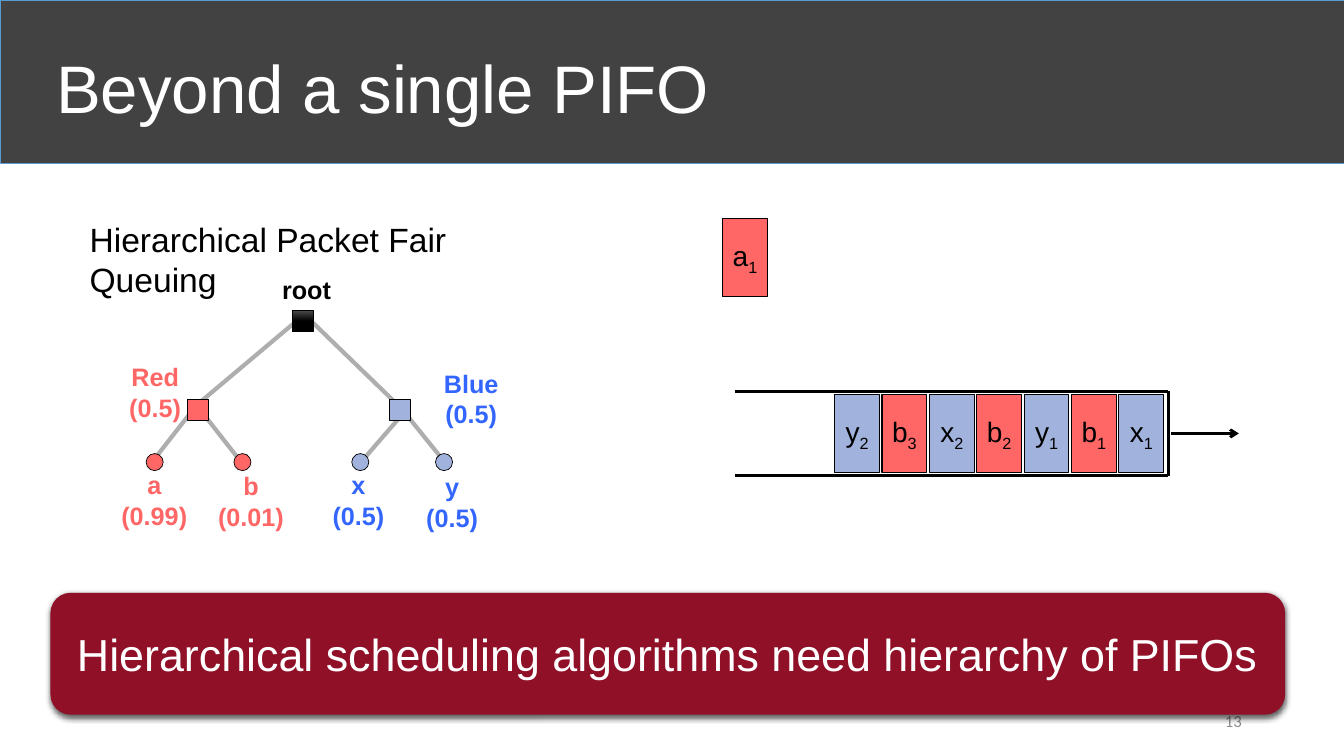
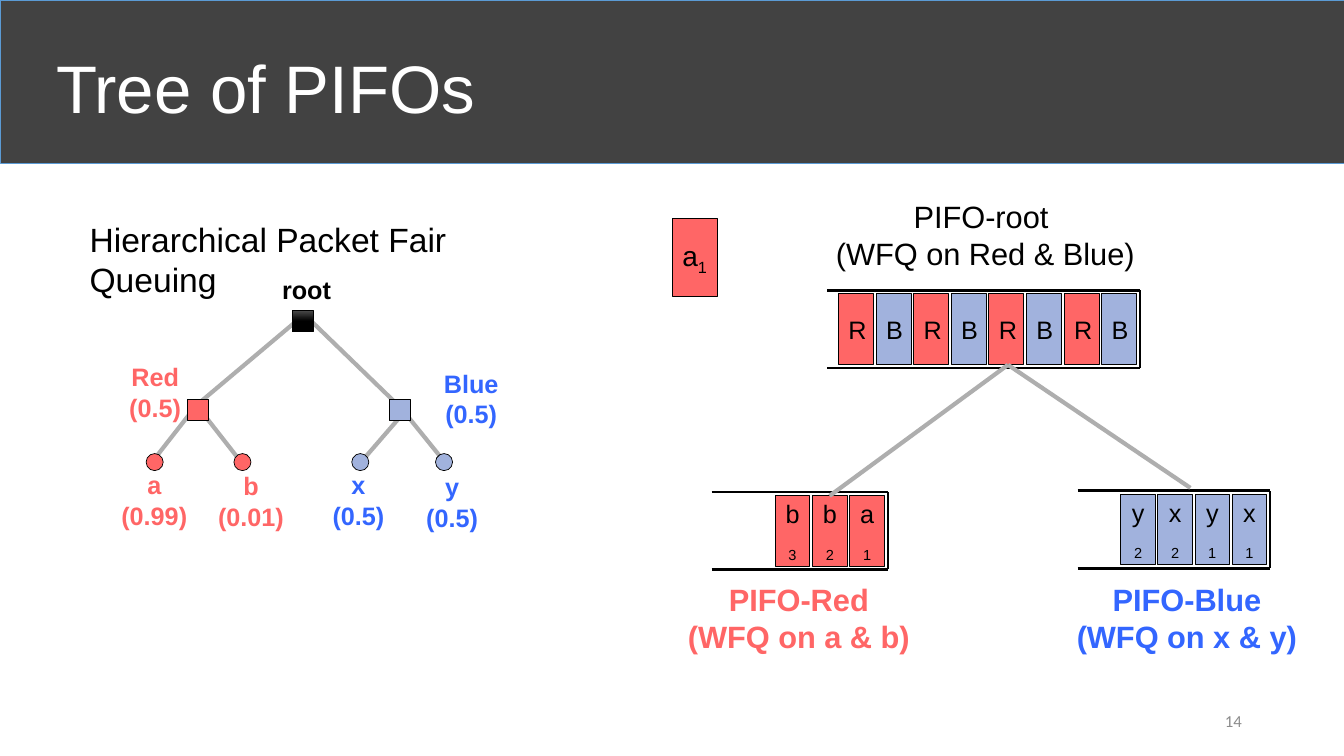
from dataclasses import dataclass

from lxml import etree
from pptx import Presentation
from pptx.dml.color import RGBColor
from pptx.enum.shapes import MSO_CONNECTOR, MSO_SHAPE
from pptx.enum.text import MSO_ANCHOR, PP_ALIGN
from pptx.oxml.ns import qn
from pptx.util import Pt

RECT, OVAL, ROUND = MSO_SHAPE.RECTANGLE, MSO_SHAPE.OVAL, MSO_SHAPE.ROUNDED_RECTANGLE
LINE = MSO_CONNECTOR.STRAIGHT
LEFT, MID, RIGHT = PP_ALIGN.LEFT, PP_ALIGN.CENTER, PP_ALIGN.RIGHT
TOP, CENTRE = MSO_ANCHOR.TOP, MSO_ANCHOR.MIDDLE


@dataclass(frozen=True)
class Theme:
    """Colours, fonts and type sizes of the deck."""
    band: str = "424242"
    edge: str = "5B9BD5"
    white: str = "FFFFFF"
    black: str = "000000"
    shine: str = "4B4B4B"
    red: str = "FF6666"
    pale: str = "A1B2DD"
    blue: str = "3366FF"
    branch: str = "AEAEAE"
    wine: str = "901028"
    grey: str = "8C8C8C"
    font: str = "Arial"
    foot: str = "Calibri"
    title: int = 48
    claim: int = 32
    head: int = 24
    name: int = 22
    big: int = 20
    body: int = 18
    small: int = 12


T = Theme()


def put(slide, box, text="", kind=None, fill=None, line=None, width=0.75, size=T.body,
        color=T.black, font=T.font, bold=False, align=MID, anchor=TOP, sub=""):
    """Add a text box, or a shape of the given kind, with formatted text."""
    area = [Pt(v) for v in box]
    if kind is None:
        shape = slide.shapes.add_textbox(*area)
    else:
        shape = slide.shapes.add_shape(kind, *area)
        shape.shadow.inherit = False
        shape.fill.solid()
        shape.fill.fore_color.rgb = RGBColor.from_string(fill)
        if line:
            shape.line.color.rgb = RGBColor.from_string(line)
            shape.line.width = Pt(width)
        else:
            shape.line.fill.background()
    frame = shape.text_frame
    frame.word_wrap = True
    frame.vertical_anchor = anchor
    for i, words in enumerate(text.split("\n") if text else []):
        para = frame.paragraphs[0] if i == 0 else frame.add_paragraph()
        para.alignment = align
        for part in filter(None, (words, sub)):
            run = para.add_run()
            run.text = part
            run.font.size = Pt(size)
            run.font.name = font
            run.font.bold = bold
            run.font.color.rgb = RGBColor.from_string(color)
        if sub:
            run._r.get_or_add_rPr().set("baseline", "-25000")
    return shape


def join(slide, start, end, color=T.black, width=2, arrow=False):
    """Draw a straight line, with an arrowhead at its end if asked."""
    link = slide.shapes.add_connector(LINE, *[Pt(v) for v in (*start, *end)])
    link.line.color.rgb = RGBColor.from_string(color)
    link.line.width = Pt(width)
    if arrow:
        etree.SubElement(link.line._get_or_add_ln(), qn("a:tailEnd"), type="arrow")
    etree.SubElement(link._element.spPr, qn("a:effectLst"))


# The tree
fork, warm, cool = (217.4, 224.6), (140.4, 289.4), (286.6, 291.6)
edges = [(fork, warm), (fork, cool), (warm, (109.4, 329)), (warm, (171.4, 329)),
         ((288.7, 294.5), (256.3, 331.9)), (cool, (316.8, 329))]
labels = [("Red (0.5)", 66.2, 254.9, 89.3, T.red),
          ("Blue (0.5)", 289.4, 259.2, 94.3, T.blue),
          ("a\n(0.99)", 77.8, 331.9, 64.8, T.red),
          ("b\n(0.01)", 146.9, 332.6, 64.8, T.red),
          ("x\n(0.5)", 229, 331.9, 54, T.blue),
          ("y\n(0.5)", 295.9, 333.4, 54, T.blue),
          ("root", 194.4, 192.2, 52, T.black)]
nodes = [(RECT, 141.5, 292.7, 15.1, T.red), (RECT, 285.5, 292.7, 15.1, T.pale),
         (OVAL, 110.5, 330.1, 12.2, T.red), (OVAL, 173.2, 330.1, 12.2, T.red),
         (OVAL, 257.4, 330.1, 12.2, T.pale), (OVAL, 317.2, 330.1, 12.2, T.pale)]

# Each queue: left, right, top, depth, first cell, step, type size, cells
single = [(524.9, 834.5, 279.4, 60.4, 596.2, 33.84, T.big, "y2 b3 x2 b2 y1 b1 x1")]
trio = [(591, 814.3, 207.4, 55.4, 599, 26.85, T.body, "R B R B R B R B"),
        (508.3, 634.3, 351.4, 55.4, 553.7, 26.64, T.body, "b3 b2 a1"),
        (769.7, 907.2, 350.4, 55.4, 800.6, 26.5, T.body, "y2 x2 y1 x1")]
pages = [("Beyond a single PIFO", "13", 516.2, single),
         ("Tree of PIFOs", "14", 480.2, trio)]

deck = Presentation()
deck.slide_width, deck.slide_height = Pt(960), Pt(540)
made = []

for title, number, spot, queues in pages:
    slide = deck.slides.add_slide(deck.slide_layouts[6])
    made.append(slide)
    put(slide, (0, 0, 960, 116.6), kind=RECT, fill=T.band, line=T.edge, width=0.5)
    put(slide, (33, 9.4, 828, 104.4), title, size=T.title, color=T.white,
        align=LEFT, anchor=CENTRE)
    put(slide, (678.2, 500.4, 216, 28.8), number, size=T.small, color=T.grey,
        font=T.foot, align=RIGHT, anchor=CENTRE)

    for start, end in edges:
        join(slide, start, end, T.branch, 3)
    for words, x, y, wide, color in labels:
        put(slide, (x, y, wide, 28.8 if "\n" not in words else 51), words,
            color=color, bold=True, align=LEFT if words == "root" else MID)
    for kind, x, y, side, color in nodes:
        put(slide, (x - side / 2, y - side / 2, side, side), kind=kind, fill=color,
            line=T.black, width=0.5)
    root = put(slide, (208.8, 221.8, 15.1, 15.1), kind=RECT, fill=T.black,
               line=T.black, width=0.5)
    root.fill.gradient()
    root.fill.gradient_angle = 270
    for stop, color, place in zip(root.fill.gradient_stops, (T.shine, T.black), (0, 0.5)):
        stop.color.rgb = RGBColor.from_string(color)
        stop.position = place
    put(slide, (56.9, 152.6, 351.4, 36), "Hierarchical Packet Fair Queuing",
        size=T.head, align=LEFT)

    put(slide, (spot, 156.2, 32, 55.4), "a", sub="1", kind=RECT, fill=T.red,
        line=T.black, size=T.big, anchor=CENTRE)
    for left, right, top, deep, first, step, size, cells in queues:
        base = top + deep
        join(slide, (left, top), (right, top))
        join(slide, (left, base), (right, base))
        join(slide, (right, base), (right, top))
        for i, cell in enumerate(cells.split()):
            put(slide, (first + i * step, top + 2.6, step - 1.8, deep - 5), cell[0],
                sub=cell[1:], kind=RECT, fill=T.red if cell[0] in "abR" else T.pale,
                line=T.black, size=size, anchor=CENTRE)

beyond, tree = made

# Way out of the single queue, and the claim
join(beyond, (836.6, 309.6), (884.9, 309.6), arrow=True)
claim = put(beyond, (36, 423.4, 882, 87.1),
            "Hierarchical scheduling algorithms need hierarchy of PIFOs",
            kind=ROUND, fill=T.wine, size=T.claim, color=T.white, anchor=CENTRE)
effects = claim._element.spPr.find(qn("a:effectLst"))
shade = etree.SubElement(effects, qn("a:outerShdw"), blurRad=str(Pt(4.5)),
                         dist=str(Pt(1.5)), dir="5400000", rotWithShape="0")
tint = etree.SubElement(shade, qn("a:srgbClr"), val=T.black)
etree.SubElement(tint, qn("a:alpha"), val="63000")

# Links and names of the three queues
for end in ((850.3, 348.5), (592.6, 354.2)):
    join(tree, (720, 260.6), end, T.branch, 3)
for words, x, y, wide, color in [
        ("PIFO-root \n(WFQ on Red & Blue)", 583.2, 137.5, 241.2, T.black),
        ("PIFO-Red\n(WFQ on a & b)", 468, 411.1, 205.2, T.red),
        ("PIFO-Blue\n(WFQ on x & y)", 745.2, 411.1, 205.2, T.blue)]:
    put(tree, (x, y, wide, 60.5), words, size=T.name, color=color, bold=color != T.black)

deck.save("out.pptx")
